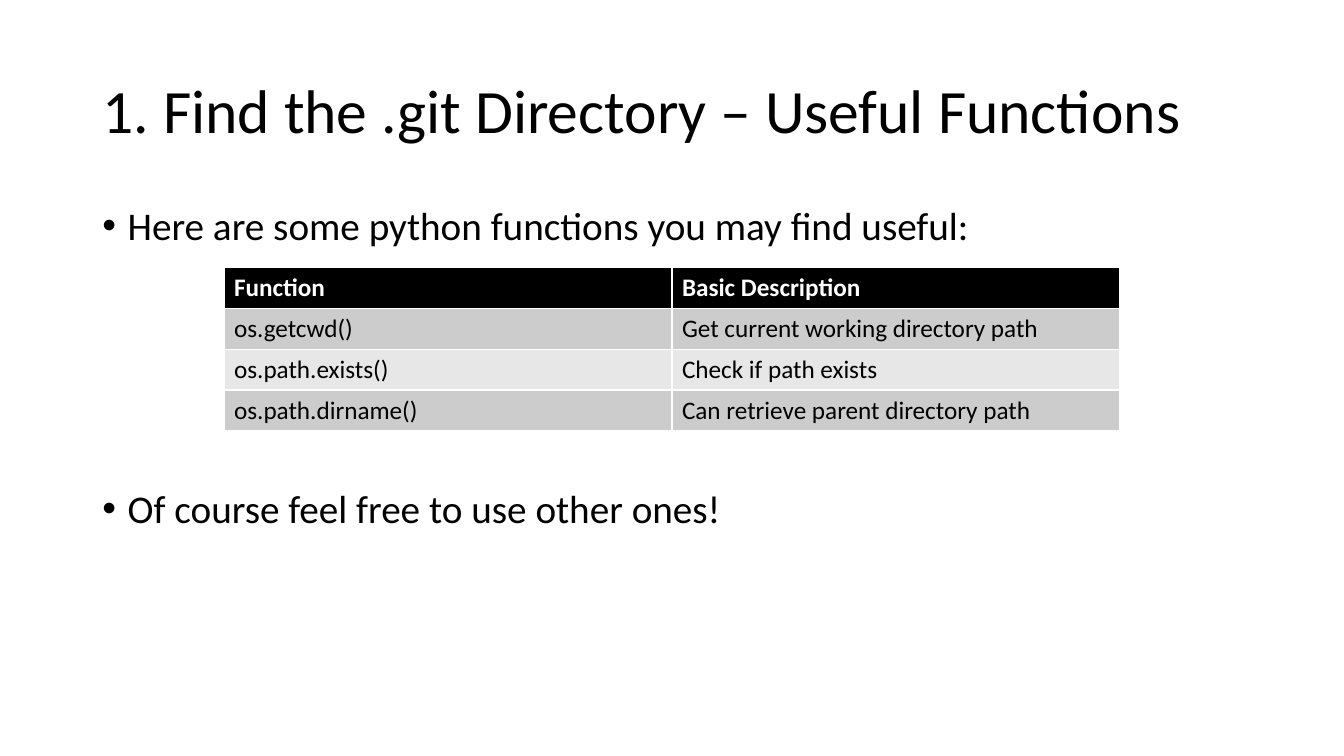
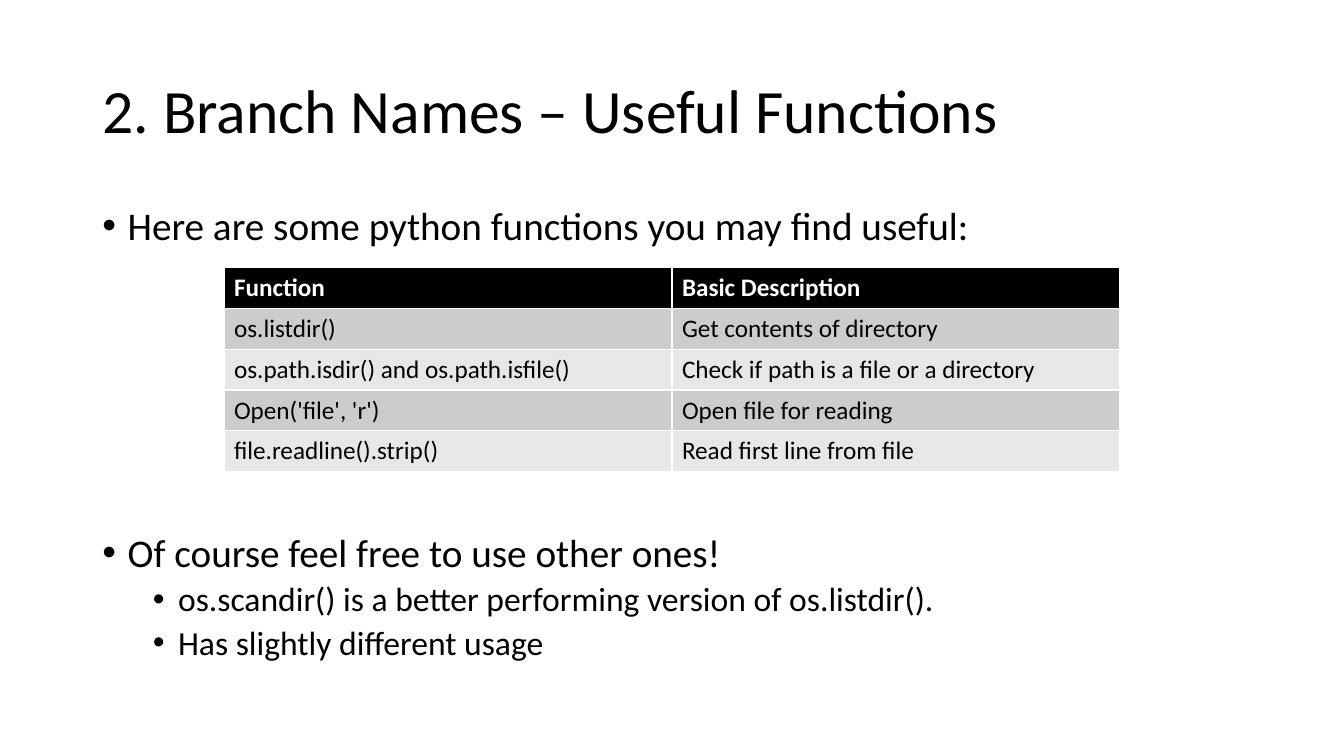
"""Build two slides that list useful Python functions in tables."""
import pptx
import pptx.dml.color
import pptx.enum.text
import pptx.oxml.ns
import pptx.util
import lxml.etree

Pt = pptx.util.Pt
BLACK, WHITE = "000000", "FFFFFF"
BAND_FILLS = ["E7E7E7", "CCCCCC"]
HEADER = ("Function", "Basic Description")
TABLE_LEFT, TABLE_TOP, COLUMN_WIDTH, ROW_HEIGHT = 160, 191, 320, 29.2
INTRO = "Here are some python functions you may find useful:"
CLOSING = "Of course feel free to use other ones!"
LEVEL_SIZES = [28, 24]
LEVEL_GAPS = [10, 5]

SLIDES = [
    {
        "title": "1. Find the .git Directory – Useful Functions",
        "rows": [
            ("os.getcwd()", "Get current working directory path"),
            ("os.path.exists()", "Check if path exists"),
            ("os.path.dirname()", "Can retrieve parent directory path"),
        ],
        "closing_gap": 172,
        "notes": [],
    },
    {
        "title": "2. Branch Names – Useful Functions",
        "rows": [
            ("os.listdir()", "Get contents of directory"),
            ("os.path.isdir() and os.path.isfile()", "Check if path is a file or a directory"),
            ("Open('file', 'r')", "Open file for reading"),
            ("file.readline().strip()", "Read first line from file"),
        ],
        "closing_gap": 203.5,
        "notes": [
            "os.scandir() is a better performing version of os.listdir().",
            "Has slightly different usage",
        ],
    },
]


def color(value):
    return pptx.dml.color.RGBColor.from_string(value)


def set_font(para, size, value, bold=False):
    para.font.name = "Calibri"
    para.font.size = Pt(size)
    para.font.bold = bold
    para.font.color.rgb = color(value)


deck = pptx.Presentation()
deck.slide_width, deck.slide_height = Pt(960), Pt(540)

for content in SLIDES:
    page = deck.slides.add_slide(deck.slide_layouts[1])
    title, body = page.placeholders
    for box, top, height in ((title, 28.75, 104.4), (body, 143.75, 342.6)):
        box.left, box.top, box.width, box.height = Pt(66), Pt(top), Pt(828), Pt(height)
        box.text_frame.auto_size = pptx.enum.text.MSO_AUTO_SIZE.NONE

    title.text_frame.text = content["title"]
    para = title.text_frame.paragraphs[0]
    para.alignment = pptx.enum.text.PP_ALIGN.LEFT
    para.line_spacing = 0.9
    set_font(para, 44, BLACK)

    items = [(INTRO, 0, LEVEL_GAPS[0]), (CLOSING, 0, content["closing_gap"])]
    items += [(note, 1, LEVEL_GAPS[1]) for note in content["notes"]]
    body.text_frame.text = "\n".join(text for text, level, gap in items)
    for para, (text, level, gap) in zip(body.text_frame.paragraphs, items):
        para.level = level
        para.line_spacing = 0.9
        para.space_before = Pt(gap)
        properties = para._p.get_or_add_pPr()
        properties.set("marL", str(Pt(18 + 36 * level)))
        properties.set("indent", str(Pt(-18)))
        bullet = lxml.etree.SubElement(properties, pptx.oxml.ns.qn("a:buChar"))
        bullet.set("char", "•")
        set_font(para, LEVEL_SIZES[level], BLACK)

    rows = [HEADER] + content["rows"]
    table = page.shapes.add_table(
        len(rows), len(HEADER), Pt(TABLE_LEFT), Pt(TABLE_TOP),
        Pt(COLUMN_WIDTH * len(HEADER)), Pt(ROW_HEIGHT * len(rows))).table
    for row_index, texts in enumerate(rows):
        is_header = row_index == 0
        for column_index, text in enumerate(texts):
            cell = table.cell(row_index, column_index)
            cell.text = text
            cell.fill.solid()
            cell.fill.fore_color.rgb = color(BLACK if is_header else BAND_FILLS[row_index % 2])
            set_font(cell.text_frame.paragraphs[0], 18, WHITE if is_header else BLACK, is_header)

deck.save("out.pptx")
